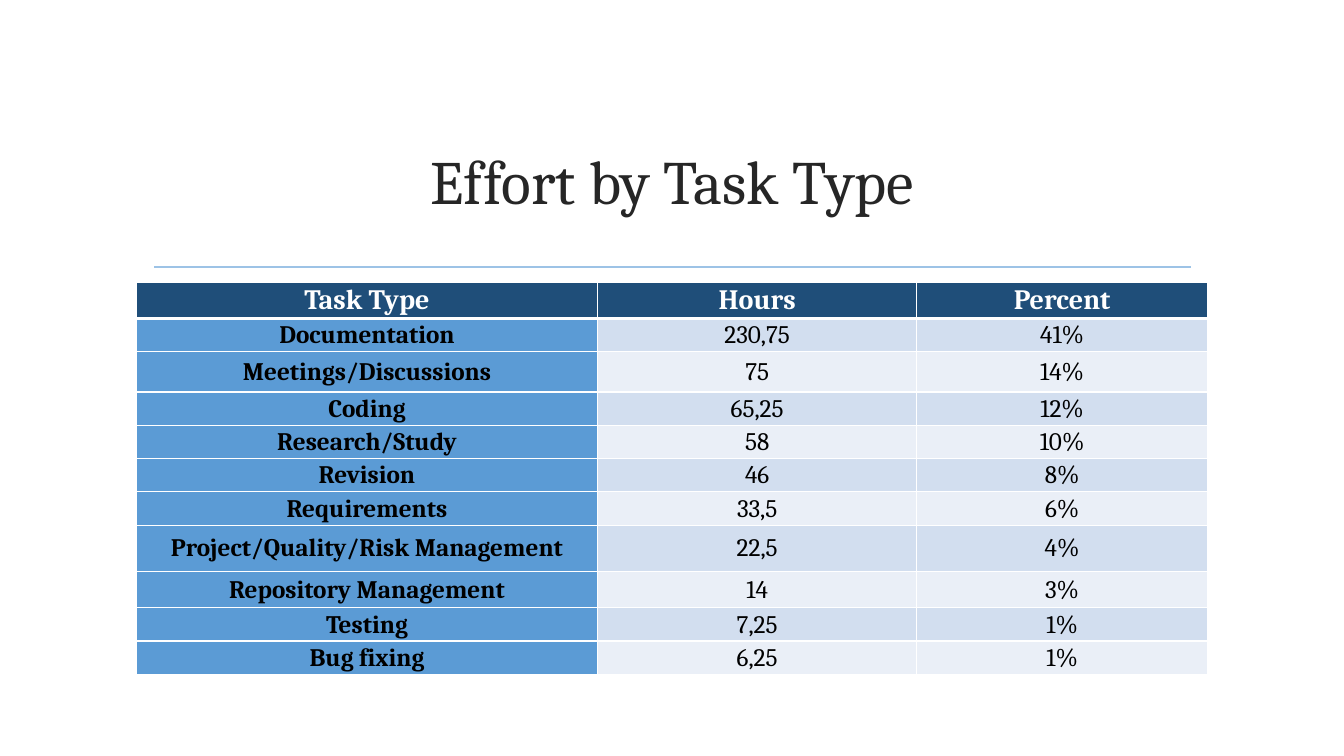
from lxml.etree import SubElement
from pptx import Presentation
from pptx.dml.color import RGBColor
from pptx.enum.shapes import MSO_CONNECTOR
from pptx.enum.text import MSO_ANCHOR, PP_ALIGN
from pptx.oxml.ns import qn
from pptx.util import Inches, Pt

FONT = "Cambria"
WHITE = RGBColor(0xFF, 0xFF, 0xFF)
BLACK = RGBColor(0x00, 0x00, 0x00)
CHARCOAL = RGBColor(0x26, 0x26, 0x26)
RULE_BLUE = RGBColor(0x9D, 0xC3, 0xE6)
HEADER_BLUE = RGBColor(0x1F, 0x4E, 0x79)
LABEL_BLUE = RGBColor(0x5B, 0x9B, 0xD5)
BANDS = [RGBColor(0xD2, 0xDE, 0xEF), RGBColor(0xEA, 0xEF, 0xF7)]

HEADER = ("Task Type", "Hours", "Percent")
TASKS = [
    ("Documentation", "230,75", "41%"),
    ("Meetings/Discussions", "75", "14%"),
    ("Coding", "65,25", "12%"),
    ("Research/Study", "58", "10%"),
    ("Revision", "46", "8%"),
    ("Requirements", "33,5", "6%"),
    ("Project/Quality/Risk Management", "22,5", "4%"),
    ("Repository Management", "14", "3%"),
    ("Testing", "7,25", "1%"),
    ("Bug fixing", "6,25", "1%"),
]
COLUMN_WIDTHS = [4.58, 3.16, 2.89]
ROW_HEIGHT = 0.33
TALL_ROWS = {0: 0.36, 2: 0.4, 7: 0.46, 8: 0.36}


def write_text(tf, text, size, color, bold=False):
    p = tf.paragraphs[0]
    p.alignment = PP_ALIGN.CENTER
    r = p.add_run()
    r.text = text
    r.font.name = FONT
    r.font.size = Pt(size)
    r.font.bold = bold
    r.font.color.rgb = color


def add_title(s, text):
    sp = s.shapes.add_textbox(Inches(1.42), Inches(1.07), Inches(10.5), Inches(1.43))
    tf = sp.text_frame
    tf.word_wrap = True
    tf.vertical_anchor = MSO_ANCHOR.MIDDLE
    write_text(tf, text, 44, CHARCOAL)


def add_rule(s):
    y = Inches(2.65)
    line = s.shapes.add_connector(
        MSO_CONNECTOR.STRAIGHT, Inches(1.53), y, Inches(11.81), y)
    line.line.color.rgb = RULE_BLUE
    line.line.width = Pt(1.25)
    SubElement(line._element.spPr, qn("a:effectLst"))


def set_borders(cell, top, bottom):
    tc_pr = cell._tc.get_or_add_tcPr()
    for side, width in (("L", 1), ("R", 1), ("T", top), ("B", bottom)):
        ln = SubElement(tc_pr, qn(f"a:ln{side}"), w=str(Pt(width)))
        fill = SubElement(ln, qn("a:solidFill"))
        SubElement(fill, qn("a:srgbClr"), val=str(WHITE))


def style_cell(cell, text, row, col):
    is_header = row == 0
    cell.margin_left = cell.margin_right = cell.margin_top = Inches(0.01)
    cell.margin_bottom = 0
    cell.vertical_anchor = MSO_ANCHOR.MIDDLE
    set_borders(cell, 3 if row == 1 else 1, 3 if is_header else 1)
    cell.fill.solid()
    if is_header:
        cell.fill.fore_color.rgb = HEADER_BLUE
        write_text(cell.text_frame, text, 20, WHITE, True)
    else:
        cell.fill.fore_color.rgb = LABEL_BLUE if col == 0 else BANDS[(row - 1) % 2]
        write_text(cell.text_frame, text, 18, BLACK, col == 0)


def add_effort_table(s):
    rows = [HEADER] + TASKS
    heights = [TALL_ROWS.get(i, ROW_HEIGHT) for i in range(len(rows))]
    table = s.shapes.add_table(
        len(rows), len(HEADER), Inches(1.35), Inches(2.8),
        Inches(sum(COLUMN_WIDTHS)), Inches(sum(heights))).table
    table.first_col = True
    for column, width in zip(table.columns, COLUMN_WIDTHS):
        column.width = Inches(width)
    for i, (values, height) in enumerate(zip(rows, heights)):
        table.rows[i].height = Inches(height)
        for j, text in enumerate(values):
            style_cell(table.cell(i, j), text, i, j)


def main():
    prs = Presentation()
    prs.slide_width = Inches(13.33)
    prs.slide_height = Inches(7.5)
    s = prs.slides.add_slide(prs.slide_layouts[6])
    add_rule(s)
    add_title(s, "Effort by Task Type")
    add_effort_table(s)
    prs.save("out.pptx")


main()
